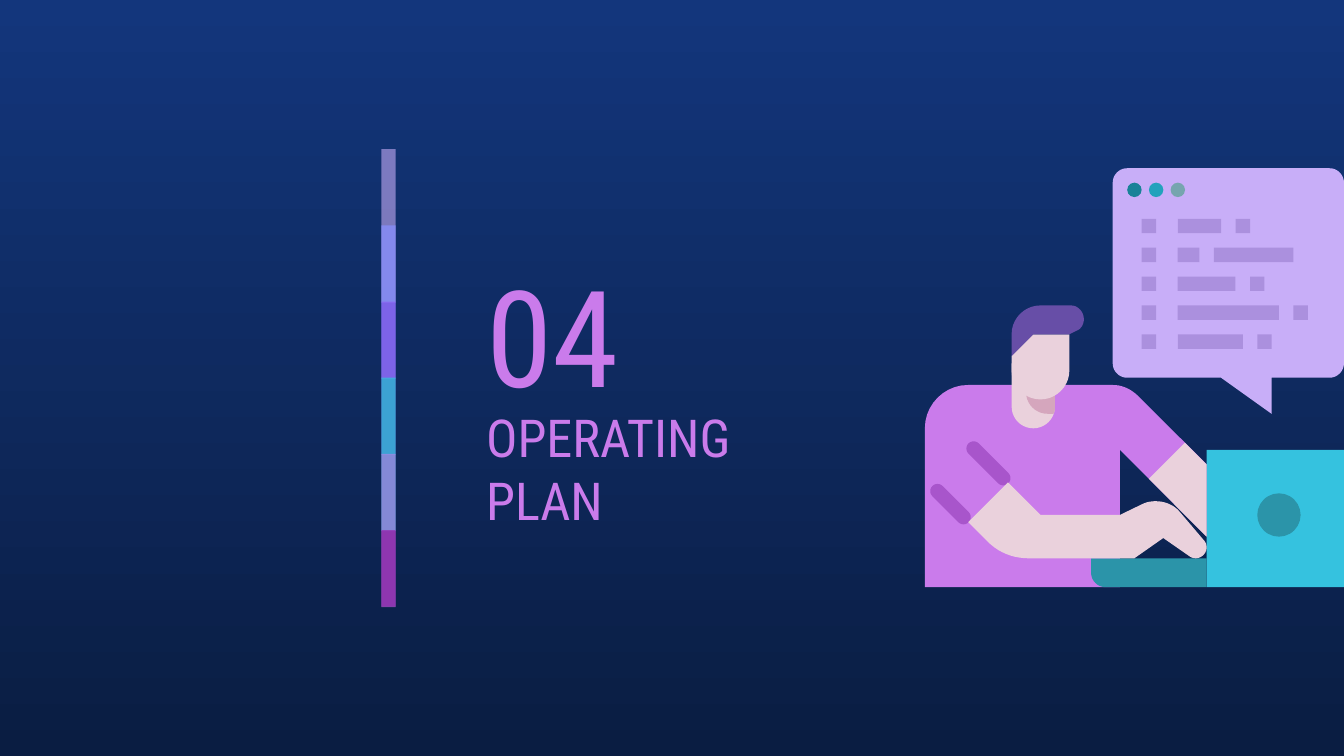
"""Builds the section slide "04 Operating plan" with a programmer at a laptop."""
from dataclasses import dataclass
from math import cos, radians, sin

from lxml import etree
from pptx import Presentation
from pptx.dml.color import RGBColor
from pptx.enum.shapes import MSO_SHAPE
from pptx.enum.text import MSO_ANCHOR
from pptx.oxml.ns import qn
from pptx.util import Cm, Pt

RECTANGLE = MSO_SHAPE.RECTANGLE
OVAL = MSO_SHAPE.OVAL
MIDDLE = MSO_ANCHOR.MIDDLE

FONT = "Roboto Condensed"
NAVY_TOP = RGBColor(0x13, 0x36, 0x7C)
NAVY_BOTTOM = RGBColor(0x0A, 0x1D, 0x42)
LILAC = RGBColor(0xC8, 0xAE, 0xF8)
PERIWINKLE = RGBColor(0x87, 0x8F, 0xFF)
VIOLET = RGBColor(0x91, 0x54, 0xF8)
CYAN = RGBColor(0x35, 0xC2, 0xDF)
ORCHID = RGBColor(0xCA, 0x7B, 0xEB)
MAGENTA = RGBColor(0x97, 0x2C, 0xB4)
PURPLE = RGBColor(0xA8, 0x55, 0xCB)
TEAL = RGBColor(0x2B, 0x94, 0xA9)
SKIN = RGBColor(0xEA, 0xD1, 0xDC)
SKIN_SHADE = RGBColor(0xD5, 0xA6, 0xBD)
HAIR = RGBColor(0x67, 0x4E, 0xA7)
CODE = RGBColor(0xAB, 0x90, 0xDE)
DOT_DARK = RGBColor(0x19, 0x82, 0x98)
DOT_BRIGHT = RGBColor(0x22, 0xA2, 0xBC)
DOT_GREY = RGBColor(0x76, 0xA5, 0xAF)

ART_LEFT, ART_TOP = 17.48, 3.18
UNIT = 7.92 / 29
CURVE_STEPS = 10


@dataclass
class Outline:
    """A closed outline in art units; six numbers make a curve, two a line."""
    colour: RGBColor
    steps: list[tuple[float, ...]]


@dataclass
class Bar:
    """A translucent piece of the vertical stripe."""
    colour: RGBColor
    opacity: int
    height: float = 2.9


@dataclass
class Heading:
    """A line of heading text, with its box in centimetres."""
    text: str
    size: int
    top: float
    width: float
    height: float


BARS = [
    Bar(LILAC, 59), Bar(PERIWINKLE, 74), Bar(VIOLET, 53),
    Bar(CYAN, 76), Bar(ORCHID, 56), Bar(MAGENTA, 74, 1.45),
]
HEADINGS = [
    Heading("04", 72, 4.6, 4.45, 3.43),
    Heading("OPERATING PLAN", 28, 8, 7.29, 1.7),
]
SHIRT = Outline(ORCHID, [
    (3, 15), (1.35, 15, 0, 16.35, 0, 18), (0, 29), (13.5, 29), (13.5, 19.5),
    (19.5, 25.5), (19.5, 20.5), (14.85, 15.85), (14.3, 15.3, 13.7, 15, 13, 15)])
LAPTOP_BASE = Outline(TEAL, [
    (11.5, 27), (11.5, 28), (11.5, 28.55, 11.95, 29, 12.5, 29), (19.5, 29), (19.5, 27)])
NECK = Outline(SKIN, [
    (6, 13.5), (6, 16.5), (6, 17.33, 6.67, 18, 7.5, 18),
    (8.33, 18, 9, 17.33, 9, 16.5), (9, 13.5)])
CHIN_SHADOW = Outline(SKIN_SHADE, [
    (7, 13.5), (7, 15.5), (7, 16.33, 7.67, 17, 8.5, 17), (8.9, 17),
    (9, 16.85, 9, 16.7, 9, 16.5), (9, 13.5)])
NEAR_ARM = Outline(SKIN, [
    (5.75, 21.75), (3, 24.5), (4.35, 25.85), (5.1, 26.6, 6.1, 27, 7.15, 27),
    (14.5, 27), (16.5, 25.6), (18.3, 26.85), (18.4, 26.95, 18.6, 27, 18.75, 27),
    (19.15, 27, 19.5, 26.65, 19.5, 26.25), (19.5, 26.1, 19.45, 25.9, 19.35, 25.8),
    (17.65, 23.8), (17.3, 23.35, 16.65, 23.05, 16, 23.05),
    (15.65, 23.05, 15.35, 23.1, 15.05, 23.25), (13.5, 24), (8, 24)])
FAR_ARM = Outline(SKIN, [(18, 19), (15.5, 21.5), (19.5, 25.5), (19.5, 20.5)])
BUBBLE = Outline(LILAC, [
    (14, 0), (13.45, 0, 13, 0.45, 13, 1), (13, 13.5),
    (13, 14.05, 13.45, 14.5, 14, 14.5), (20.5, 14.5), (24, 17), (24, 14.5),
    (28, 14.5), (28.55, 14.5, 29, 14.05, 29, 13.5), (29, 1),
    (29, 0.45, 28.55, 0, 28, 0)])
FACE = Outline(SKIN, [
    (7.5, 11.5), (6, 13), (6, 14), (6, 15.1, 6.9, 16, 8, 16),
    (9.1, 16, 10, 15.1, 10, 14), (10, 11.5)])
HAIRCUT = Outline(HAIR, [
    (8, 9.5), (6.9, 9.5, 6, 10.4, 6, 11.5), (6, 13), (7.5, 11.5), (10, 11.5),
    (10.5, 11.25), (10.8, 11.15, 11, 10.8, 11, 10.45),
    (11, 9.95, 10.6, 9.5, 10.1, 9.5)])
CODE_WIDTHS = [(3, 1), (1.5, 5.5), (4, 1), (7, 1), (4.5, 1)]
WINDOW_DOTS = [DOT_DARK, DOT_BRIGHT, DOT_GREY]


def paint(shape, colour: RGBColor) -> None:
    """Gives a shape a plain fill with no line or shadow."""
    shape.shadow.inherit = False
    shape.fill.solid()
    shape.fill.fore_color.rgb = colour
    shape.line.fill.background()


def place(x: float, y: float) -> tuple[int, int]:
    """Turns art units into a position on the slide."""
    return Cm(ART_LEFT + x * UNIT), Cm(ART_TOP + y * UNIT)


def flatten(steps: list[tuple[float, ...]]) -> list[tuple[float, float]]:
    """Turns lines and cubic curves into a run of points."""
    points = [steps[0]]
    for step in steps[1:]:
        if len(step) == 2:
            points.append(step)
            continue
        controls = [points[-1], step[:2], step[2:4], step[4:]]
        for index in range(1, CURVE_STEPS + 1):
            t = index / CURVE_STEPS
            weights = [(1 - t) ** 3, 3 * t * (1 - t) ** 2, 3 * t * t * (1 - t), t ** 3]
            points.append(tuple(
                sum(weight * control[axis] for weight, control in zip(weights, controls))
                for axis in (0, 1)))
    return points


def draw_outline(page, outline: Outline) -> None:
    """Draws a closed outline."""
    points = [place(*point) for point in flatten(outline.steps)]
    builder = page.shapes.build_freeform(*points[0], scale=1.0)
    builder.add_line_segments(points[1:], close=True)
    paint(builder.convert_to_shape(), outline.colour)


def draw_preset(page, kind, colour: RGBColor, x: float, y: float,
                width: float, height: float) -> None:
    """Draws a preset shape measured in art units."""
    shape = page.shapes.add_shape(kind, *place(x, y), Cm(width * UNIT), Cm(height * UNIT))
    paint(shape, colour)


def sleeve_stripe(x: float, y: float, run: float) -> Outline:
    """Describes a round-ended diagonal stripe from the centre of its first end."""
    steps = []
    for shift, start in ((0, 135), (run, 315)):
        for angle in range(start, start + 181, 15):
            turn = radians(angle)
            steps.append((x + shift + cos(turn) / 2, y + shift + sin(turn) / 2))
    return Outline(PURPLE, steps)


def draw_bar(page, bar: Bar, index: int) -> None:
    """Draws one translucent bar; each overlaps half of the bar before it."""
    shape = page.shapes.add_shape(
        RECTANGLE, Cm(7.21), Cm(2.82 + index * 1.44), Cm(0.27), Cm(bar.height))
    paint(shape, bar.colour)
    colour = shape.element.spPr.find(".//" + qn("a:srgbClr"))
    etree.SubElement(colour, qn("a:alpha"), val=str(bar.opacity * 1000))


def draw_heading(page, heading: Heading) -> None:
    """Writes one heading."""
    box = page.shapes.add_textbox(
        Cm(8.94), Cm(heading.top), Cm(heading.width), Cm(heading.height))
    frame = box.text_frame
    frame.word_wrap = True
    frame.vertical_anchor = MIDDLE
    frame.margin_left = frame.margin_right = Cm(0.25)
    frame.margin_top = frame.margin_bottom = Cm(0.25)
    para = frame.paragraphs[0]
    para.text = heading.text
    para.font.name = FONT
    para.font.size = Pt(heading.size)
    para.font.color.rgb = ORCHID


def draw_programmer(page) -> None:
    """Draws the programmer, the laptop and the code bubble."""
    for outline in (SHIRT, sleeve_stripe(0.87, 22.35, 1.8), sleeve_stripe(3.37, 19.4, 2.05)):
        draw_outline(page, outline)
    draw_preset(page, RECTANGLE, CYAN, 19.5, 19.5, 9.5, 9.5)
    for outline in (LAPTOP_BASE, NECK, CHIN_SHADOW, NEAR_ARM, FAR_ARM):
        draw_outline(page, outline)
    draw_preset(page, OVAL, TEAL, 23, 22.5, 3, 3)
    draw_outline(page, BUBBLE)
    for row, (first, second) in enumerate(CODE_WIDTHS):
        for x, width in ((15, 1), (17.5, first), (18.5 + first, second)):
            draw_preset(page, RECTANGLE, CODE, x, 3.5 + 2 * row, width, 1)
    draw_outline(page, FACE)
    draw_outline(page, HAIRCUT)
    for index, colour in enumerate(WINDOW_DOTS):
        draw_preset(page, OVAL, colour, 14 + 1.5 * index, 1, 1, 1)


def main() -> None:
    """Builds and saves the deck."""
    deck = Presentation()
    deck.slide_width, deck.slide_height = Cm(25.4), Cm(14.29)
    page = deck.slides.add_slide(deck.slide_layouts[6])
    backdrop = page.background.fill
    backdrop.gradient()
    backdrop.gradient_angle = 270
    for stop, colour in zip(backdrop.gradient_stops, (NAVY_TOP, NAVY_BOTTOM)):
        stop.color.rgb = colour
    for index, bar in enumerate(BARS):
        draw_bar(page, bar, index)
    for heading in HEADINGS:
        draw_heading(page, heading)
    draw_programmer(page)
    deck.save("out.pptx")


if __name__ == "__main__":
    main()
